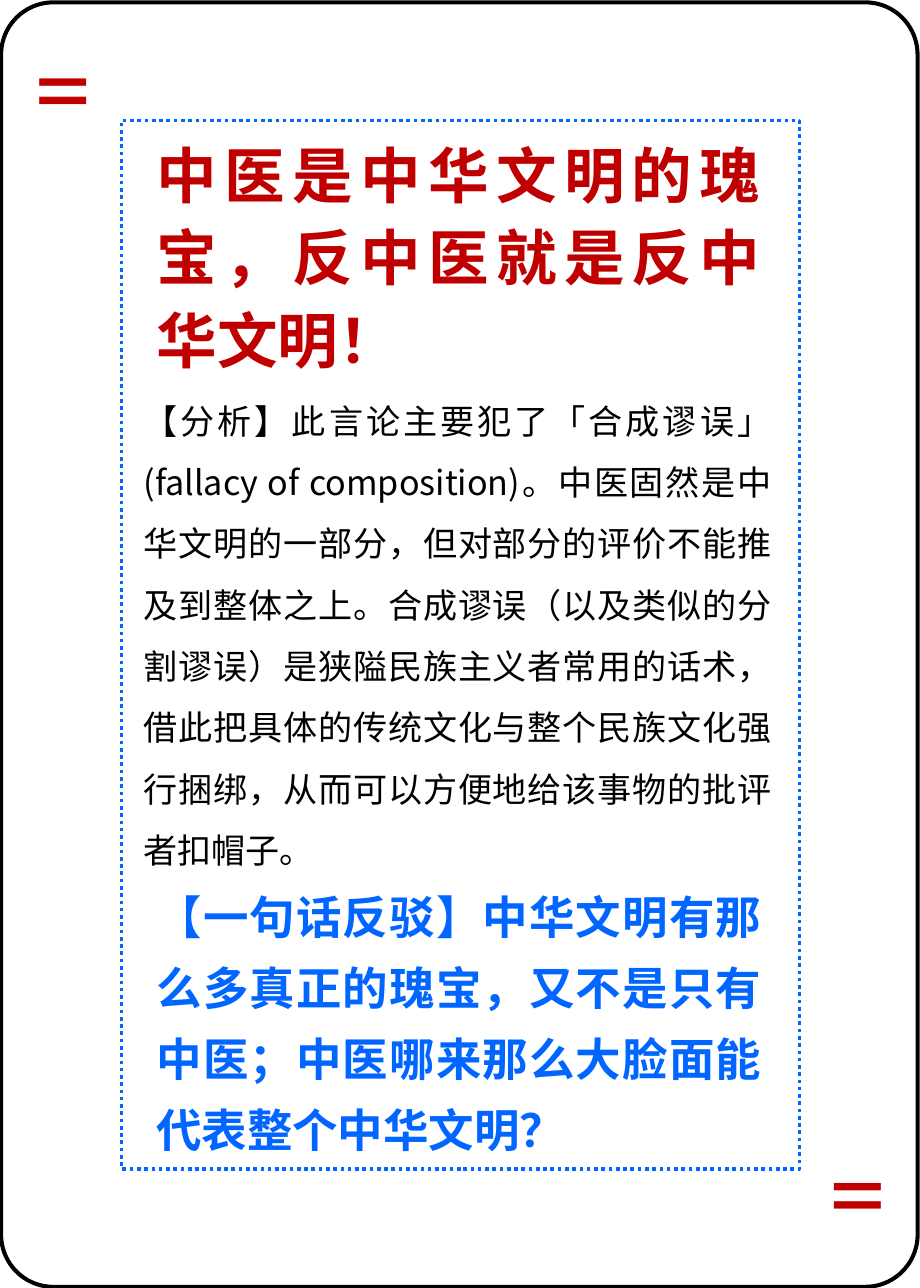
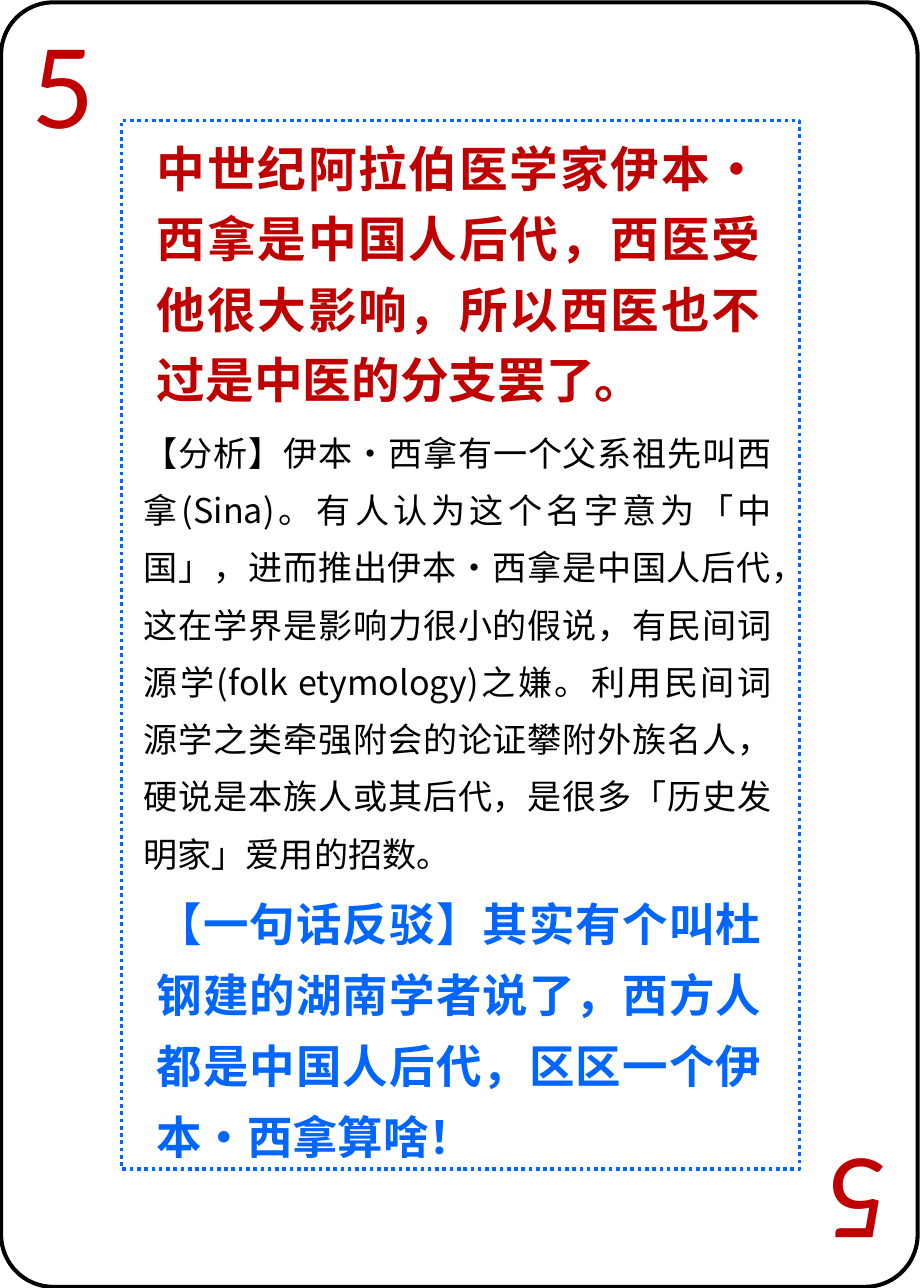
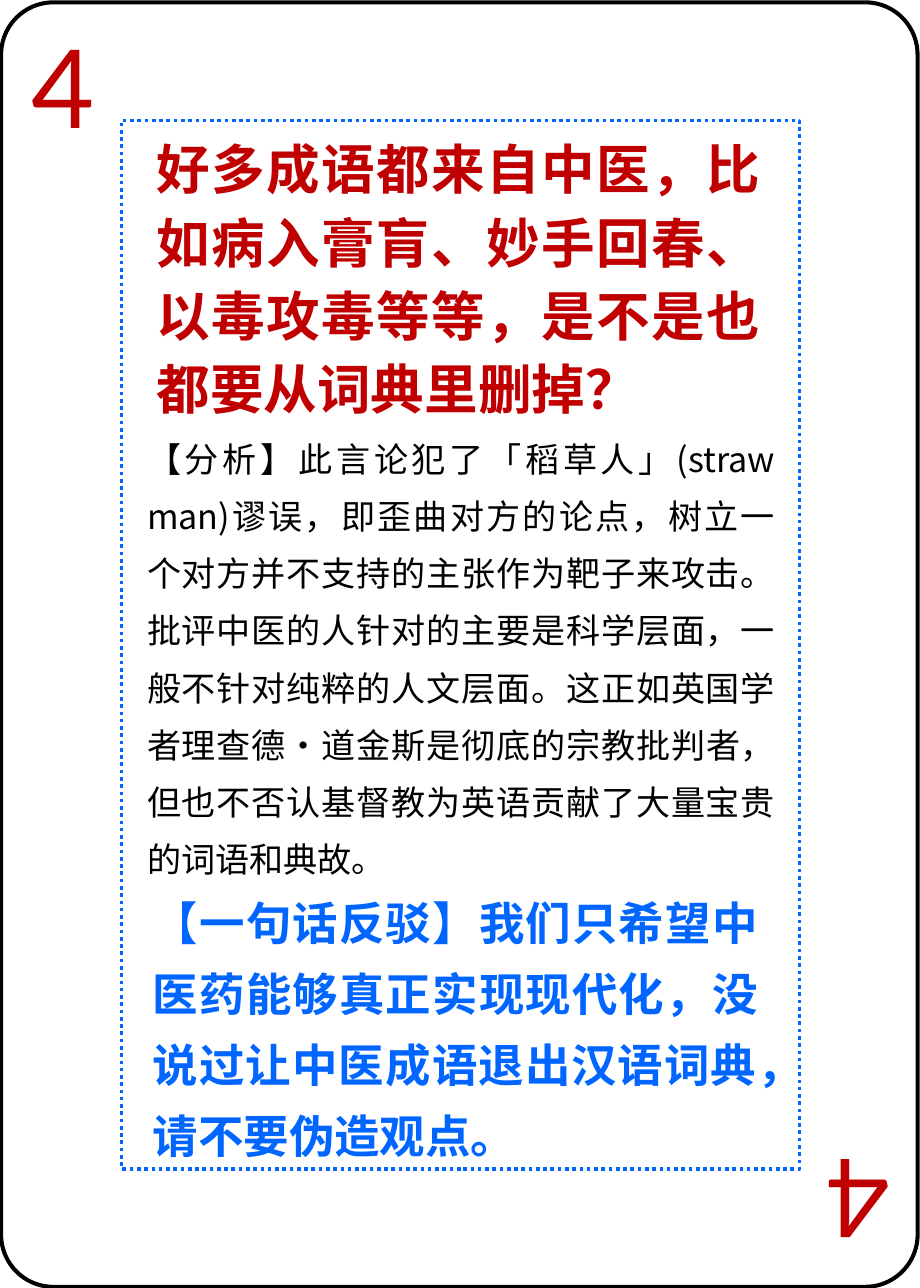
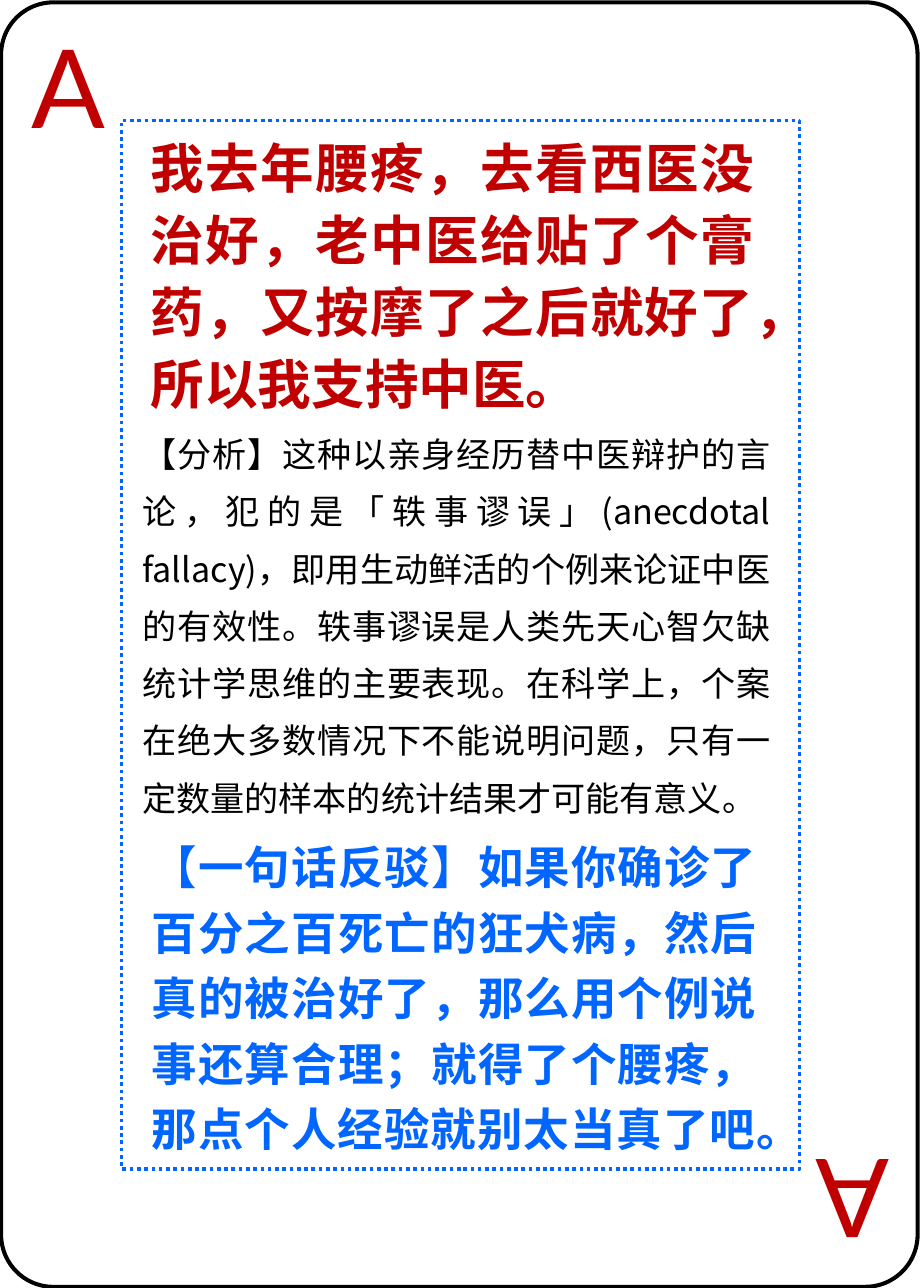
"""Builds four playing cards, each rebutting one claim about traditional medicine."""
from dataclasses import dataclass

from lxml.etree import SubElement
from pptx import Presentation
from pptx.dml.color import RGBColor
from pptx.enum.dml import MSO_LINE
from pptx.enum.shapes import MSO_SHAPE as Preset
from pptx.enum.text import MSO_ANCHOR, MSO_AUTO_SIZE, PP_ALIGN
from pptx.oxml.ns import qn
from pptx.util import Inches, Pt

RED, BLUE, BLACK = "C00000", "0066FF", "000000"
CJK, LATIN = "Noto Sans CJK SC", "Lato"
TITLE_ONLY = 5


@dataclass(frozen=True)
class Box:
    """A rectangle on the slide, in inches."""
    left: float
    top: float
    width: float
    height: float


@dataclass(frozen=True)
class Style:
    """The look of one paragraph."""
    size: float
    color: str
    face: str = CJK
    bold: bool = False
    spacing: float = 1.0
    align: PP_ALIGN = PP_ALIGN.JUSTIFY


@dataclass(frozen=True)
class Passage:
    """A block of text with its place and line spacing."""
    text: str
    box: Box
    spacing: float


@dataclass(frozen=True)
class Card:
    """One playing card: rank, claim, analysis and rebuttal."""
    rank: str
    claim_size: float
    claim: Passage
    analysis: Passage
    rebuttal: Passage


RANK_STYLE = Style(67.2, RED, LATIN, align=PP_ALIGN.LEFT)
RANK_CORNERS = ((Box(0.17, 0.12, 0.76, 1.23), 0), (Box(6.95, 9.67, 0.76, 1.23), 180))
FRAME = Box(1.04, 1.03, 5.8, 8.97)
EDGE = Box(0.01, 0.02, 7.84, 10.99)

CARDS = (
    Card(
        "=", 37.3,
        Passage("中医是中华文明的瑰宝，反中医就是反中华文明！", Box(1.24, 1.04, 5.37, 2.2), 1.14),
        Passage(
            "【分析】此言论主要犯了「合成谬误」(fallacy of composition)。中医固然是中华文明的一部分，"
            "但对部分的评价不能推及到整体之上。合成谬误（以及类似的分割谬误）是狭隘民族主义者常用的话术，"
            "借此把具体的传统文化与整个民族文化强行捆绑，从而可以方便地给该事物的批评者扣帽子。",
            Box(1.13, 3.2, 5.57, 4.28), 1.5),
        Passage(
            "【一句话反驳】中华文明有那么多真正的瑰宝，又不是只有中医；"
            "中医哪来那么大脸面能代表整个中华文明？",
            Box(1.24, 7.42, 5.37, 2.49), 1.3),
    ),
    Card(
        "5", 30,
        Passage(
            "中世纪阿拉伯医学家伊本·西拿是中国人后代，西医受他很大影响，所以西医也不过是中医的分支罢了。",
            Box(1.24, 1.04, 5.37, 2.47), 1.2),
        Passage(
            "【分析】伊本·西拿有一个父系祖先叫西拿(Sina)。有人认为这个名字意为「中国」，"
            "进而推出伊本·西拿是中国人后代，这在学界是影响力很小的假说，"
            "有民间词源学(folk etymology)之嫌。利用民间词源学之类牵强附会的论证攀附外族名人，"
            "硬说是本族人或其后代，是很多「历史发明家」爱用的招数。",
            Box(1.13, 3.51, 5.57, 4), 1.4),
        Passage(
            "【一句话反驳】其实有个叫杜钢建的湖南学者说了，西方人都是中国人后代，"
            "区区一个伊本·西拿算啥！",
            Box(1.24, 7.48, 5.37, 2.49), 1.3),
    ),
    Card(
        "4", 33,
        Passage(
            "好多成语都来自中医，比如病入膏肓、妙手回春、以毒攻毒等等，是不是也都要从词典里删掉？",
            Box(1.24, 1.04, 5.37, 2.59), 1.14),
        Passage(
            "【分析】此言论犯了「稻草人」(straw man)谬误，即歪曲对方的论点，"
            "树立一个对方并不支持的主张作为靶子来攻击。批评中医的人针对的主要是科学层面，"
            "一般不针对纯粹的人文层面。这正如英国学者理查德·道金斯是彻底的宗教批判者，"
            "但也不否认基督教为英语贡献了大量宝贵的词语和典故。",
            Box(1.16, 3.56, 5.57, 4), 1.4),
        Passage(
            "【一句话反驳】我们只希望中医药能够真正实现现代化，"
            "没说过让中医成语退出汉语词典，请不要伪造观点。",
            Box(1.21, 7.47, 5.37, 2.49), 1.3),
    ),
    Card(
        "A", 33,
        Passage(
            "我去年腰疼，去看西医没治好，老中医给贴了个膏药，又按摩了之后就好了，所以我支持中医。",
            Box(1.19, 1.04, 5.37, 2.59), 1.12),
        Passage(
            "【分析】这种以亲身经历替中医辩护的言论，犯的是「轶事谬误」(anecdotal fallacy)，"
            "即用生动鲜活的个例来论证中医的有效性。轶事谬误是人类先天心智欠缺统计学思维的主要表现。"
            "在科学上，个案在绝大多数情况下不能说明问题，只有一定数量的样本的统计结果才可能有意义。",
            Box(1.12, 3.52, 5.57, 3.51), 1.4),
        Passage(
            "【一句话反驳】如果你确诊了百分之百死亡的狂犬病，然后真的被治好了，"
            "那么用个例说事还算合理；就得了个腰疼，那点个人经验就别太当真了吧。",
            Box(1.2, 7.04, 5.37, 2.88), 1.2),
    ),
)


def rgb(color: str) -> RGBColor:
    """Turn a hex string into a colour."""
    return RGBColor.from_string(color)


def lengths(box: Box) -> tuple:
    """Give the box as left, top, width and height lengths."""
    return Inches(box.left), Inches(box.top), Inches(box.width), Inches(box.height)


def write(holder, text: str, style: Style) -> None:
    """Fill a text box or placeholder with one styled paragraph."""
    frame = holder.text_frame
    frame.text = text
    frame.word_wrap = True
    frame.auto_size = MSO_AUTO_SIZE.SHAPE_TO_FIT_TEXT
    frame.vertical_anchor = MSO_ANCHOR.TOP
    paragraph = frame.paragraphs[0]
    paragraph.alignment = style.align
    paragraph.line_spacing = style.spacing
    font = paragraph.font
    font.size, font.bold, font.name = Pt(style.size), style.bold, style.face
    font.color.rgb = rgb(style.color)
    properties = paragraph._p.pPr.find(qn("a:defRPr"))
    SubElement(properties, qn("a:ea"), typeface=style.face)


def add_text(slide, text: str, box: Box, style: Style, rotation: float = 0) -> None:
    """Add a styled text box."""
    holder = slide.shapes.add_textbox(*lengths(box))
    holder.rotation = rotation
    write(holder, text, style)


def add_title(slide, claim: Passage, size: float) -> None:
    """Place the claim in the title placeholder."""
    title = slide.shapes.title
    title.left, title.top, title.width, title.height = lengths(claim.box)
    write(title, claim.text, Style(size, RED, bold=True, spacing=claim.spacing))


def add_outline(slide, preset: Preset, box: Box, color: str, weight: float):
    """Add an unfilled outline."""
    outline = slide.shapes.add_shape(preset, *lengths(box))
    outline.shadow.inherit = False
    outline.fill.background()
    outline.line.color.rgb = rgb(color)
    outline.line.width = Pt(weight)
    return outline


def add_card(deck, card: Card) -> None:
    """Add one card as a slide."""
    slide = deck.slides.add_slide(deck.slide_layouts[TITLE_ONLY])
    for corner, rotation in RANK_CORNERS:
        add_text(slide, card.rank, corner, RANK_STYLE, rotation)
    add_title(slide, card.claim, card.claim_size)
    frame = add_outline(slide, Preset.RECTANGLE, FRAME, BLUE, 2.25)
    frame.line.dash_style = MSO_LINE.ROUND_DOT
    analysis, rebuttal = card.analysis, card.rebuttal
    add_text(slide, analysis.text, analysis.box, Style(21, BLACK, spacing=analysis.spacing))
    add_text(slide, rebuttal.text, rebuttal.box,
             Style(28, BLUE, bold=True, spacing=rebuttal.spacing))
    edge = add_outline(slide, Preset.ROUNDED_RECTANGLE, EDGE, BLACK, 2.5)
    edge.adjustments[0] = 0.057


def main() -> None:
    """Build and save the deck."""
    deck = Presentation()
    deck.slide_width, deck.slide_height = Inches(7.87), Inches(11.02)
    for card in CARDS:
        add_card(deck, card)
    deck.save("out.pptx")


if __name__ == "__main__":
    main()
